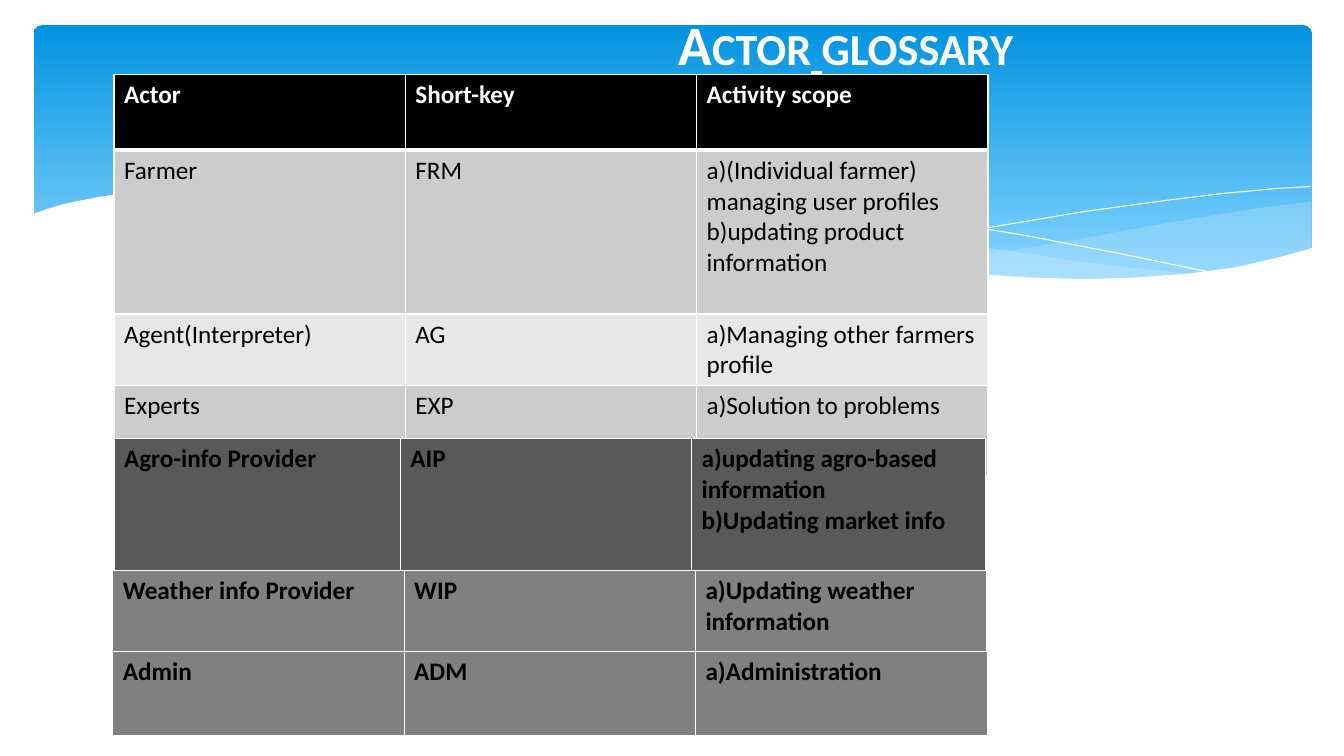
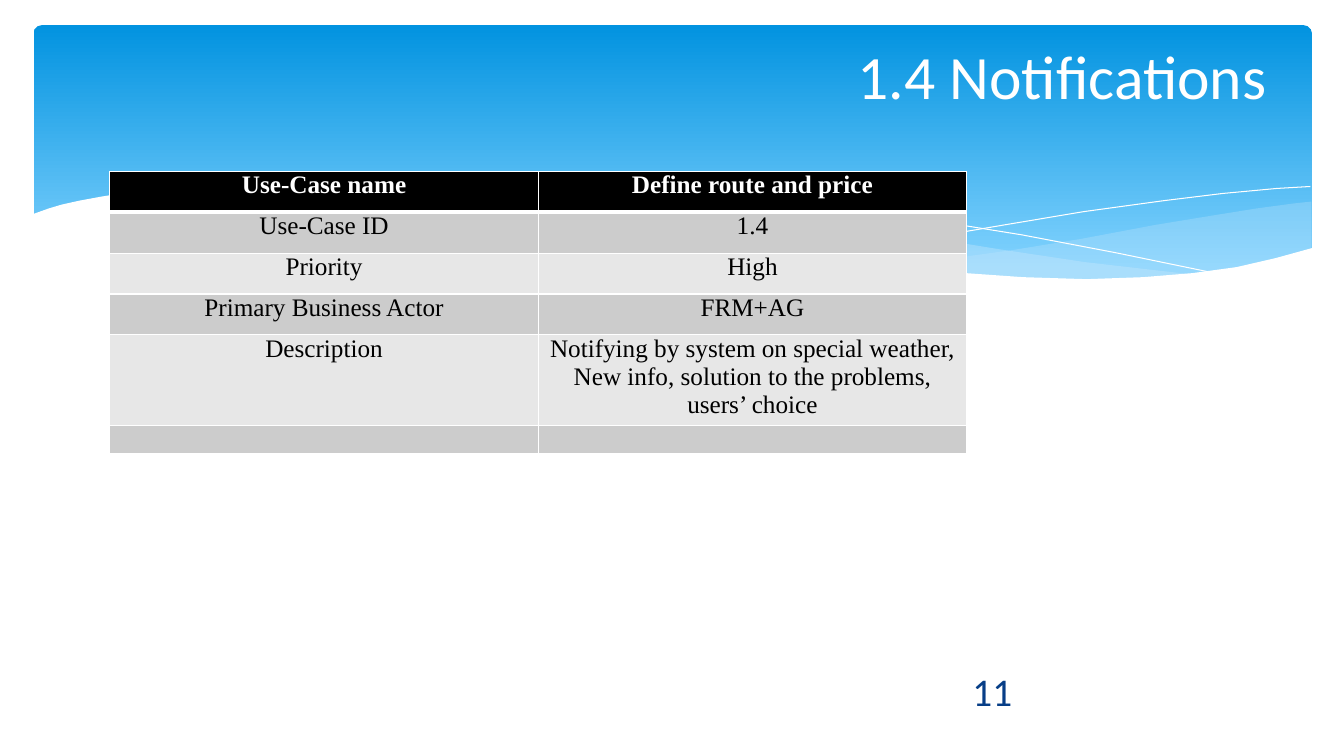
from lxml import etree
from pptx import Presentation
from pptx.dml import color
from pptx.enum import shapes, text
from pptx.oxml import ns
from pptx.util import Pt

COLORS = {
    "white": "FFFFFF", "black": "000000", "sky_top": "0293E0", "sky_bottom": "83D3FE",
    "veil": "C6E7FC", "band_dark": "CCCCCC", "band_light": "E7E7E7",
    "charcoal": "595959", "gray": "808080", "navy": "073E87",
}
SANS, SERIF = "Calibri", "Times New Roman"

RIGHT_VEIL = [
    (936.7, 144), (923.8, 145.4), (897.1, 149), (869.8, 153.4), (825.8, 160.6),
    (772.6, 170.6), (723.6, 178.6), (677.5, 185), (635, 190.8), (676.8, 195.1),
    (714.9, 198), (749.5, 199.4), (781.2, 200), (801.4, 199.4), (828.7, 198),
    (853.9, 195.8), (876.7, 192.2), (897.8, 188.6), (924.5, 181.4), (936.7, 177.8),
]
LEFT_VEIL = [
    (856.8, 196.6), (830.9, 193.7), (774.7, 187.2), (712.1, 177.8), (641.5, 166.3),
    (604.1, 159.8), (574.6, 154.1), (546.5, 149.8), (519.1, 146.2), (493.9, 142.6),
    (469.4, 139.7), (424.1, 136.1), (383, 133.9), (347, 133.2), (314.6, 134.6),
    (275, 137.5), (310.3, 141.1), (347.8, 146.2), (388.1, 151.9), (431.3, 159.8),
    (508.3, 172.8), (560.9, 181.4), (609.1, 187.9), (653, 193), (693.4, 197.3),
    (730.1, 199.4), (763.9, 200.2), (795, 200.2), (823, 199.4), (848.9, 197.3),
]
FALLING_LINE = [
    (296.6, 140.4), (315.4, 138.2), (348.5, 136.1), (385.2, 134.6), (432, 135.4),
    (469.4, 136.8), (511.2, 139.7), (558, 144), (610.6, 149.8), (667.4, 157.7),
    (730.1, 167.8), (797.8, 180.7), (871.2, 195.8),
]
RISING_LINE = [
    (589, 185), (626.4, 177.1), (667.4, 169.2), (717.8, 160.6), (774, 151.2),
    (831.6, 143.3), (873.4, 138.2), (912.2, 134.6), (936, 133.2),
]
WHITE_WAVE = [
    (938, 177), (911.5, 184.3), (883.4, 190.8), (851.8, 195.1), (816.5, 198),
    (776.2, 199.4), (730.8, 198), (679.7, 194.4), (621.4, 188.6), (555.8, 180),
    (483.1, 167.8), (429.1, 158.4), (375.1, 149), (326.2, 141.8), (280.8, 136.8),
    (239.8, 133.9), (203, 132.5), (169.2, 132.5), (139.7, 133.2), (113.8, 134.6),
    (91.4, 137.5), (72.7, 140.4), (56.9, 143.3), (43.9, 146.2), (34.6, 149),
    (22.3, 153.4), (22.3, 236.9), (938, 236.9),
]


def rgb(name):
    return color.RGBColor.from_string(COLORS[name])


def add_curve(page, points, fill=None, opacity=100):
    """Draw a filled outline, or an open white hairline if no fill is given."""
    start, *rest = [(Pt(x), Pt(y)) for x, y in points]
    builder = page.shapes.build_freeform(*start)
    builder.add_line_segments(rest, close=fill is not None)
    curve = builder.convert_to_shape()
    curve.shadow.inherit = False
    if fill is None:
        curve.fill.background()
        curve.line.color.rgb = rgb("white")
        curve.line.width = Pt(0)
        return
    curve.line.fill.background()
    curve.fill.solid()
    curve.fill.fore_color.rgb = rgb(fill)
    if opacity < 100:
        paint = curve.fill._xPr.find(".//" + ns.qn("a:srgbClr"))
        etree.SubElement(paint, ns.qn("a:alpha")).set("val", str(opacity * 1000))


def add_backdrop(page):
    sky = page.shapes.add_shape(shapes.MSO_SHAPE.ROUNDED_RECTANGLE,
                                Pt(24), Pt(18), Pt(913), Pt(194.4))
    sky.adjustments[0] = 0.03
    sky.shadow.inherit = False
    sky.line.fill.background()
    sky.fill.gradient()
    sky.fill.gradient_angle = 270
    stops = sky.fill.gradient_stops
    for stop, name, position in zip(stops, ("sky_top", "sky_bottom"), (0, 0.9)):
        stop.color.rgb = rgb(name)
        stop.position = position
    add_curve(page, RIGHT_VEIL, "veil", 29)
    add_curve(page, LEFT_VEIL, "veil", 40)
    add_curve(page, FALLING_LINE)
    add_curve(page, RISING_LINE)
    add_curve(page, WHITE_WAVE, "white")


def format_span(span, size, ink, font=SANS, bold=False):
    span.font.name = font
    span.font.size = Pt(size)
    span.font.bold = bold
    span.font.color.rgb = rgb(ink)


def add_text(page, spans, left, top, width, height, size, ink, align, bold=False):
    box = page.shapes.add_textbox(Pt(left), Pt(top), Pt(width), Pt(height))
    frame = box.text_frame
    frame.word_wrap = True
    frame.margin_top = frame.margin_bottom = 0
    frame.vertical_anchor = text.MSO_ANCHOR.MIDDLE
    para = frame.paragraphs[0]
    para.alignment = align
    for words in spans:
        span = para.add_run()
        span.text = words
        format_span(span, size, ink, bold=bold)
    return para


def add_title(page, spans, right, middle, size, bold=False):
    width, height = 640, 54
    return add_text(page, spans, right - width, middle - height / 2, width, height,
                    size, "white", text.PP_ALIGN.RIGHT, bold)


def set_borders(cell, bottom):
    properties = cell._tc.get_or_add_tcPr()
    for side, width in (("L", 1), ("R", 1), ("T", 1), ("B", bottom)):
        edge = etree.SubElement(properties, ns.qn("a:ln" + side), w=str(Pt(width)))
        fill = etree.SubElement(edge, ns.qn("a:solidFill"))
        etree.SubElement(fill, ns.qn("a:srgbClr"), val=COLORS["white"])


def fill_cell(cell, words, fill, ink, bold, font, centered, bottom):
    set_borders(cell, bottom)
    cell.fill.solid()
    cell.fill.fore_color.rgb = rgb(fill)
    if centered:
        cell.margin_left = cell.margin_right = Pt(5)
        cell.margin_top = cell.margin_bottom = 0
    cell.text_frame.text = words
    for para in cell.text_frame.paragraphs:
        if centered:
            para.alignment = text.PP_ALIGN.CENTER
        for span in para.runs:
            format_span(span, 18, ink, font, bold)
        if not para.runs:
            para._p.get_or_add_endParaRPr().set("sz", "1600")


def add_grid(page, rows, left, top, widths, heights, fill=None, font=SANS, centered=False):
    """Add a bold table in one fill, or a banded one with a black header."""
    frame = page.shapes.add_table(len(rows), len(widths), Pt(left), Pt(top),
                                  Pt(sum(widths)), Pt(sum(heights)))
    table = frame.table
    table.first_row = table.horz_banding = False
    for column, width in zip(table.columns, widths):
        column.width = Pt(width)
    for index, (row, height) in enumerate(zip(rows, heights)):
        table.rows[index].height = Pt(height)
        header = fill is None and index == 0
        band = "black" if header else "band_dark" if index % 2 else "band_light"
        for number, words in enumerate(row):
            fill_cell(table.cell(index, number), words, fill or band,
                      "white" if header else "black", header or fill is not None,
                      font, centered, 3 if header or fill else 1)


def add_glossary(page):
    title = add_title(page, ["Actor", " ", "glossary"], 730.8, 31, 39.6, bold=True)
    for span in title.runs:
        span.font._element.set("cap", "small")
    title.runs[1].font.underline = True
    thirds = [208.1] * 3
    actors = [
        ("Actor", "Short-key", "Activity scope"),
        ("Farmer", "FRM", "a)(Individual farmer) managing user profiles\n"
                          "b)updating product information"),
        ("Agent(Interpreter)", "AG", "a)Managing other farmers profile"),
        ("Experts", "EXP", "a)Solution to problems"),
    ]
    add_grid(page, actors, 81.4, 53.3, thirds, [54, 117, 51, 65])
    add_grid(page, [("Agro-info Provider", "AIP",
                     "a)updating agro-based information\nb)Updating market info")],
             81.4, 313.2, [204.5, 208.1, 209.9], [118.8], "charcoal")
    add_grid(page, [("Weather info Provider", "WIP", "a)Updating weather information")],
             80.6, 407.5, thirds, [61.2], "gray")
    add_grid(page, [("Admin", "ADM", "a)Administration")],
             80.6, 465.1, [208.1, 208.1, 208.8], [61.2], "gray")


def add_notifications(page):
    use_case = [
        ("Use-Case name", "Define route and price"),
        ("Use-Case ID", "1.4"),
        ("Priority", "High"),
        ("Primary Business Actor", "FRM+AG"),
        ("Description", "Notifying by system on special weather,\n"
                        "New info, solution to the problems, users’ choice"),
        ("", ""),
    ]
    add_grid(page, use_case, 78.5, 122.4, [306, 306], [29.2] * 4 + [60, 20],
             font=SERIF, centered=True)
    add_text(page, ["11"], 681.8, 478.8, 54, 28.8, 28, "navy", text.PP_ALIGN.CENTER)
    add_title(page, ["1.4 Notifications"], 912, 53.5, 44)


def main():
    deck = Presentation()
    deck.slide_width, deck.slide_height = Pt(960), Pt(540)
    for add_content in (add_glossary, add_notifications):
        page = deck.slides.add_slide(deck.slide_layouts[6])
        add_backdrop(page)
        add_content(page)
    deck.save("out.pptx")


if __name__ == "__main__":
    main()
